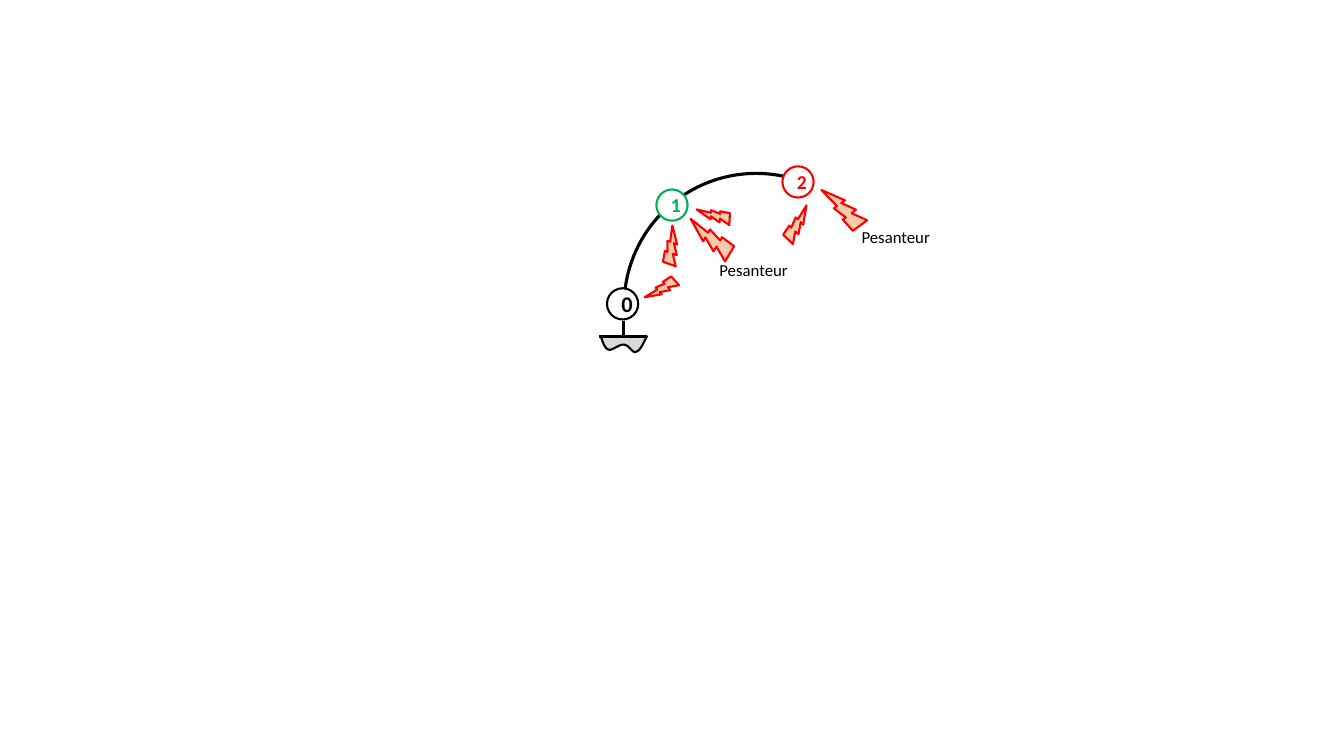
import pptx
import pptx.dml.color
import pptx.enum.shapes
import pptx.enum.text
import pptx.oxml
import pptx.oxml.ns
import pptx.util

Inches = pptx.util.Inches
Pt = pptx.util.Pt
SHAPE = pptx.enum.shapes.MSO_SHAPE

BLACK, WHITE, RED, GREEN = "000000", "FFFFFF", "FF0000", "00B050"
PEACH, GREY = "F8CBAD", "D9D9D9"
NODE_SIZE = 0.31

# Label, left, top, colour, text size
NODES = [
    ("1", 6.51, 1.88, GREEN, 14),
    ("2", 7.76, 1.65, RED, 14),
    ("0", 6.02, 2.86, BLACK, 16),
]

# Left, top, width, height, rotation, flip attribute
BOLTS = [
    (6.86, 2.16, 0.4, 0.45, 273.8, "flipV"),
    (8.18, 1.85, 0.4, 0.45, 170.8, None),
    (6.51, 2.3, 0.31, 0.32, 225, None),
    (6.44, 2.72, 0.27, 0.29, 22.1, "flipH"),
    (7.75, 2.08, 0.31, 0.32, 249, None),
    (6.96, 2, 0.27, 0.29, 66.9, "flipH"),
]

# Lower edge of the ground: a start point, then Bezier segments
GROUND_START = (5.96, 3.34)
GROUND_CURVES = [
    ((5.98, 3.4), (6, 3.46), (6.04, 3.47)),
    ((6.07, 3.48), (6.15, 3.41), (6.19, 3.42)),
    ((6.24, 3.42), (6.27, 3.51), (6.31, 3.49)),
    ((6.35, 3.48), (6.38, 3.41), (6.42, 3.33)),
]


def color(hex_string):
    return pptx.dml.color.RGBColor.from_string(hex_string)


def style_shape(shape, fill, line, width):
    shape.shadow.inherit = False
    if fill:
        shape.fill.solid()
        shape.fill.fore_color.rgb = color(fill)
    else:
        shape.fill.background()
    shape.line.color.rgb = color(line)
    shape.line.width = Pt(width)


def write_text(frame, text, size, hex_string, bold=False):
    frame.text = text
    para = frame.paragraphs[0]
    para.alignment = pptx.enum.text.PP_ALIGN.CENTER
    font = para.runs[0].font
    font.name = "Calibri"
    font.size = Pt(size)
    font.bold = bold
    font.color.rgb = color(hex_string)


def add_preset(shapes, kind, left, top, width, height, fill, line, weight):
    shape = shapes.add_shape(kind, Inches(left), Inches(top), Inches(width), Inches(height))
    style_shape(shape, fill, line, weight)
    return shape


def add_arm(shapes):
    arm = add_preset(shapes, SHAPE.ARC, 6.19, 1.72, 2.62, 2.62, None, BLACK, 2.25)
    arm.adjustments[0] = 111.23
    arm.adjustments[1] = 173.42


def add_node(shapes, label, left, top, hex_string, size):
    node = add_preset(shapes, SHAPE.OVAL, left, top, NODE_SIZE, NODE_SIZE, WHITE, hex_string, 1.5)
    node.text_frame.vertical_anchor = pptx.enum.text.MSO_ANCHOR.MIDDLE
    write_text(node.text_frame, label, size, hex_string, bold=True)


def add_bolt(shapes, left, top, width, height, rotation, flip):
    bolt = add_preset(shapes, SHAPE.LIGHTNING_BOLT, left, top, width, height, PEACH, RED, 1.5)
    bolt.rotation = rotation
    if flip:
        bolt._element.spPr.find(pptx.oxml.ns.qn("a:xfrm")).set(flip, "1")


def add_label(shapes, left, top):
    box = shapes.add_textbox(Inches(left), Inches(top), Inches(0.87), Inches(0.2))
    frame = box.text_frame
    frame.word_wrap = True
    frame.auto_size = pptx.enum.text.MSO_AUTO_SIZE.SHAPE_TO_FIT_TEXT
    frame.margin_left = frame.margin_right = frame.margin_top = frame.margin_bottom = 0
    write_text(frame, "Pesanteur", 12, BLACK)


def add_line(shapes, start, end):
    line = shapes.add_connector(
        pptx.enum.shapes.MSO_CONNECTOR.STRAIGHT,
        Inches(start[0]), Inches(start[1]), Inches(end[0]), Inches(end[1]))
    line.line.color.rgb = color(BLACK)
    line.line.width = Pt(2.25)
    line._element.spPr.append(pptx.oxml.parse_xml(
        "<a:effectLst %s/>" % pptx.oxml.ns.nsdecls("a")))


def bezier_points(start, curves, steps=10):
    points = []
    for first, second, end in curves:
        for step in range(1, steps + 1):
            t = step / steps
            weights = ((1 - t) ** 3, 3 * t * (1 - t) ** 2, 3 * t * t * (1 - t), t ** 3)
            corners = (start, first, second, end)
            points.append(tuple(
                Inches(sum(w * corner[axis] for w, corner in zip(weights, corners)))
                for axis in (0, 1)))
        start = end
    return points


def add_base(shapes):
    base = shapes.add_group_shape().shapes
    builder = base.build_freeform(Inches(GROUND_START[0]), Inches(GROUND_START[1]))
    builder.add_line_segments(bezier_points(GROUND_START, GROUND_CURVES), close=False)
    style_shape(builder.convert_to_shape(), GREY, BLACK, 1.5)
    add_line(base, (6.18, 3.18), (6.18, 3.33))
    add_line(base, (6.42, 3.34), (5.94, 3.34))


def main():
    deck = pptx.Presentation()
    deck.slide_width = Inches(13.33)
    deck.slide_height = Inches(7.5)
    shapes = deck.slides.add_slide(deck.slide_layouts[6]).shapes

    # Arm on its fixed base
    add_arm(shapes)
    add_base(shapes)

    # Numbered joints
    for node in NODES:
        add_node(shapes, *node)

    # Forces and gravity labels
    for bolt in BOLTS:
        add_bolt(shapes, *bolt)
    for left, top in ((7.04, 2.58), (8.45, 2.25)):
        add_label(shapes, left, top)

    deck.save("out.pptx")


if __name__ == "__main__":
    main()
